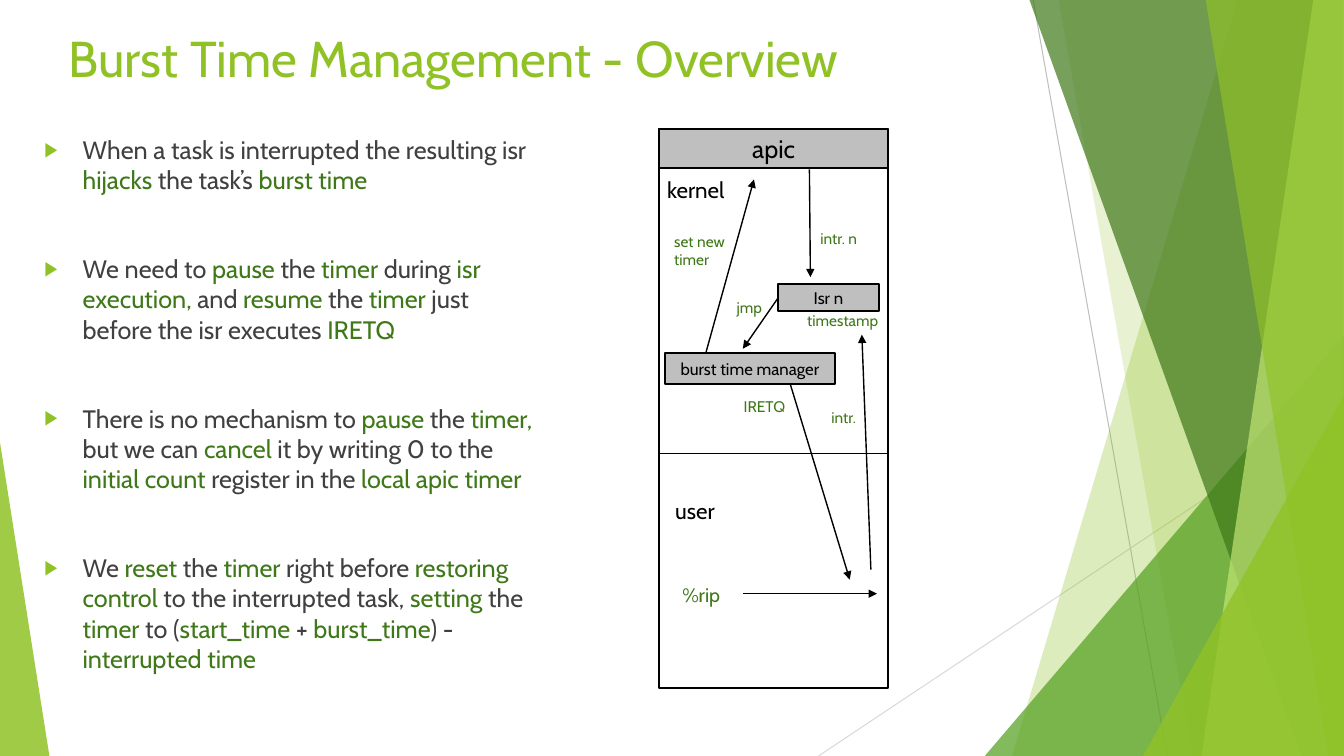
from lxml.etree import SubElement
from pptx import Presentation
from pptx.dml.color import RGBColor
from pptx.enum.shapes import MSO_CONNECTOR, MSO_SHAPE
from pptx.enum.text import MSO_ANCHOR, MSO_AUTO_SIZE, PP_ALIGN
from pptx.oxml.ns import qn
from pptx.util import Emu, Pt

PX = 9144
LIME = RGBColor(0x90, 0xC2, 0x26)
GREEN = RGBColor(0x54, 0xA0, 0x21)
DARK_GREEN = RGBColor(0x3F, 0x78, 0x19)
PALE_LIME = RGBColor(0xC0, 0xE4, 0x74)
CHARCOAL = RGBColor(0x40, 0x40, 0x40)
BLACK = RGBColor(0, 0, 0)
WHITE = RGBColor(0xFF, 0xFF, 0xFF)
GREY = RGBColor(0xBF, 0xBF, 0xBF)
LIGHT_GREY = RGBColor(0xD9, 0xD9, 0xD9)


def write(para, text, size, color, accent=DARK_GREEN, align=PP_ALIGN.LEFT):
    para.alignment = align
    for index, part in enumerate(text.split("*")):
        if part:
            span = para.add_run()
            span.text = part
            span.font.name = "Cabin"
            span.font.size = Pt(size)
            span.font.color.rgb = accent if index % 2 else color


def draw_line(start, end, color=BLACK, width=1, arrow=False):
    line = page.shapes.add_connector(
        MSO_CONNECTOR.STRAIGHT, *[Emu(value * PX) for value in start + end])
    line.line.color.rgb = color
    line.line.width = Pt(width)
    if arrow:
        SubElement(line.line._get_or_add_ln(), qn("a:tailEnd"), type="triangle")
    SubElement(line.element.spPr, qn("a:effectLst"))
    return line


deck = Presentation()
deck.slide_width = Emu(12192000)
deck.slide_height = Emu(750 * PX)
page = deck.slides.add_slide(deck.slide_layouts[1])
title, body = page.placeholders

draw_line((1025, 0), (1158, 750), GREY, 0.75)
draw_line((1333, 403), (812, 750), LIGHT_GREY, 0.75)

# panels: top x, bottom x; triangles: left, top, apex, width
facets = [
    ("panel", (1228, 1004), LIME, 30),
    ("panel", (1050, 1183), LIME, 20),
    ("triangle", (977, 333, 356, 1), GREEN, 72),
    ("panel", (1021, 1291), DARK_GREEN, 70),
    ("panel", (1303, 1192), PALE_LIME, 70),
    ("panel", (1196, 1318), LIME, 65),
    ("triangle", (1134, 393, 199, 1), LIME, 80),
    ("triangle", (0, 439, 49, 0), LIME, 85),
]
for kind, place, color, opacity in facets:
    if kind == "panel":
        top_x, bottom_x = place
        outline = page.shapes.build_freeform(top_x, -1, scale=PX)
        outline.add_line_segments([(1333, -1), (1333, 750), (bottom_x, 750)])
        facet = outline.convert_to_shape()
    else:
        left, top, width, apex = place
        facet = page.shapes.add_shape(
            MSO_SHAPE.ISOSCELES_TRIANGLE, Emu(left * PX), Emu(top * PX),
            Emu(width * PX), Emu((750 - top) * PX))
        facet.adjustments[0] = apex
    facet.shadow.inherit = False
    facet.fill.solid()
    facet.fill.fore_color.rgb = color
    facet.line.fill.background()
    tint = facet.element.spPr.find(qn("a:solidFill"))[0]
    SubElement(tint, qn("a:alpha"), val=str(opacity * 1000))

for holder, place in [(title, (58, 22, 940, 85)), (body, (34, 128, 510, 599))]:
    holder.left, holder.top, holder.width, holder.height = [
        Emu(value * PX) for value in place]
    holder.text_frame.word_wrap = True
    holder.text_frame.auto_size = MSO_AUTO_SIZE.NONE
    holder.text_frame.vertical_anchor = MSO_ANCHOR.TOP
    page.shapes.element.append(holder.element)

write(title.text_frame.paragraphs[0], "Burst Time Management - Overview", 36, LIME)

points = [
    "When a task is interrupted the resulting isr *hijacks* the task’s *burst time*",
    "We need to *pause *the* timer *during* isr execution, *and* resume *the* timer *"
    "just before the isr executes* IRETQ*",
    "There is no mechanism to *pause* the *timer, *but we can *cancel *"
    "it by writing 0 to the* initial count *register in the* local apic timer*",
    "We *reset* the* timer *right before *restoring control *to the interrupted task, "
    "*setting *the* timer *to (*start_time *+ *burst_time*) - *interrupted time*",
]
for index, point in enumerate(points):
    frame = body.text_frame
    para = frame.add_paragraph() if index else frame.paragraphs[0]
    write(para, point, 18, CHARCOAL)
    para.space_before = Pt(42 if index else 0)
    props = para._p.get_or_add_pPr()
    props.set("marL", str(38 * PX))
    props.set("indent", str(-38 * PX))
    SubElement(SubElement(props, qn("a:buClr")), qn("a:srgbClr"), val=str(LIME))
    SubElement(props, qn("a:buSzPct"), val="80000")
    SubElement(props, qn("a:buChar"), char="▶")

blocks = {}
for name, place, size, color in [
    ("", (654, 128, 227, 555), 18, WHITE),
    ("apic", (654, 128, 227, 39), 18, GREY),
    ("Isr n", (772, 282, 100, 27), 12, GREY),
    ("burst time manager", (660, 350, 168, 31), 12, GREY),
]:
    block = page.shapes.add_shape(
        MSO_SHAPE.RECTANGLE, *[Emu(value * PX) for value in place])
    block.shadow.inherit = False
    block.fill.solid()
    block.fill.fore_color.rgb = color
    block.line.color.rgb = BLACK
    block.line.width = Pt(1.5)
    block.text_frame.vertical_anchor = MSO_ANCHOR.MIDDLE
    write(block.text_frame.paragraphs[0], name, size, BLACK, align=PP_ALIGN.CENTER)
    blocks[name] = block

draw_line((654, 450), (881, 450))
for start, end in [
    ((737, 589), (870, 589)),
    ((803, 168), (804, 275)),
    ((864, 565), (855, 332)),
    ((784, 381), (843, 575)),
    ((700, 351), (748, 178)),
]:
    draw_line(start, end, arrow=True)
jump = draw_line((772, 296), (737, 346), arrow=True)
jump.begin_connect(blocks["Isr n"], 1)

for text, place, size, color in [
    ("kernel", (652, 170, 100, 37), 16, BLACK),
    ("user", (660, 488, 71, 37), 16, BLACK),
    ("%rip", (667, 573, 61, 34), 14, DARK_GREEN),
    ("intr. n", (804, 222, 86, 29), 11, DARK_GREEN),
    ("set new timer", (659, 225, 88, 47), 11, DARK_GREEN),
    ("intr.", (815, 400, 50, 47), 11, DARK_GREEN),
    ("timestamp", (791, 304, 95, 29), 11, DARK_GREEN),
    ("jmp", (721, 291, 56, 29), 11, DARK_GREEN),
    ("IRETQ", (728, 389, 73, 29), 11, DARK_GREEN),
]:
    label = page.shapes.add_textbox(*[Emu(value * PX) for value in place])
    label.text_frame.word_wrap = True
    label.text_frame.auto_size = MSO_AUTO_SIZE.SHAPE_TO_FIT_TEXT
    write(label.text_frame.paragraphs[0], text, size, color)

deck.save("out.pptx")
